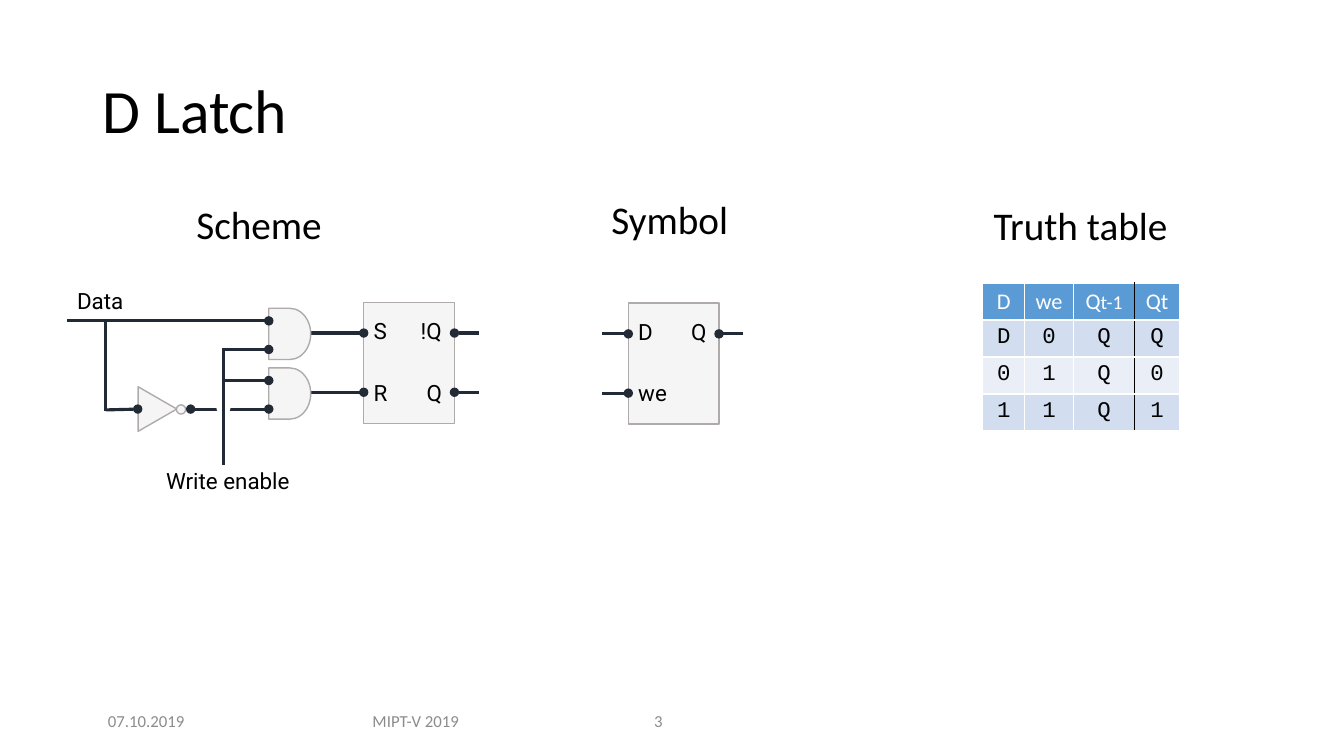
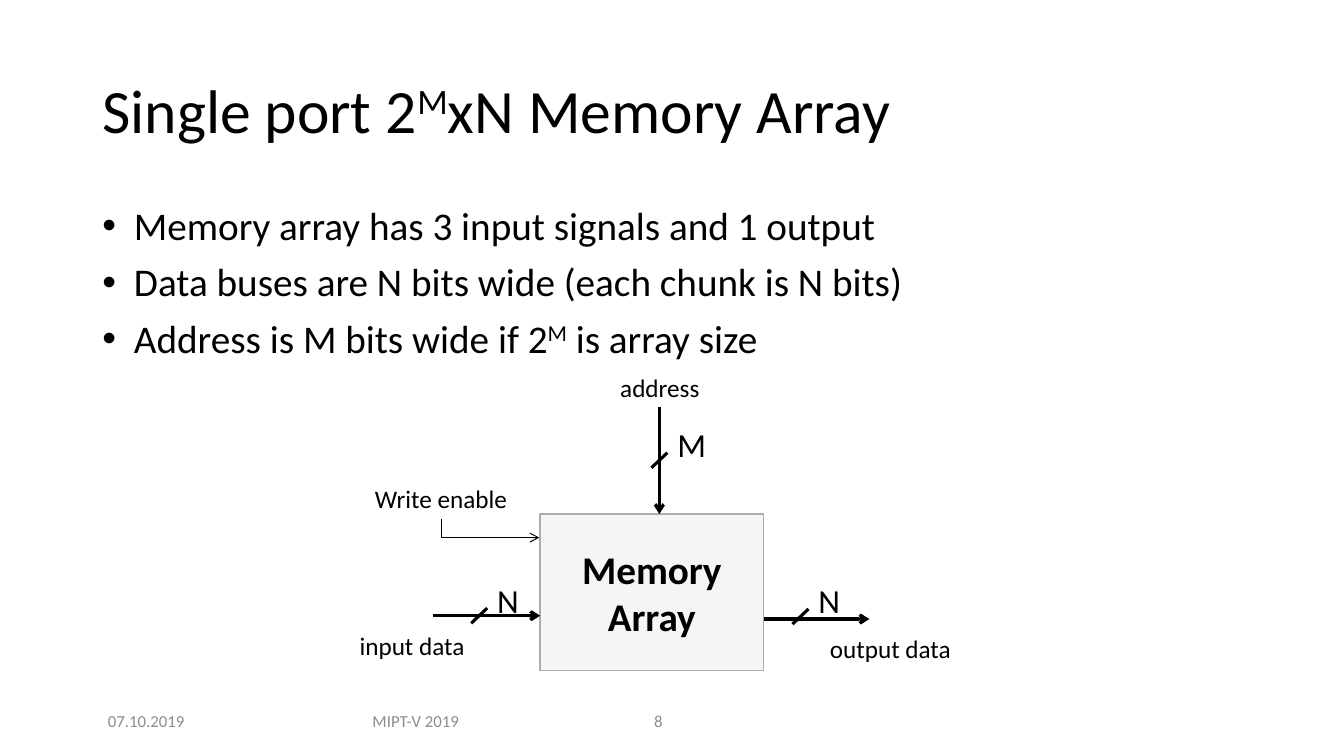
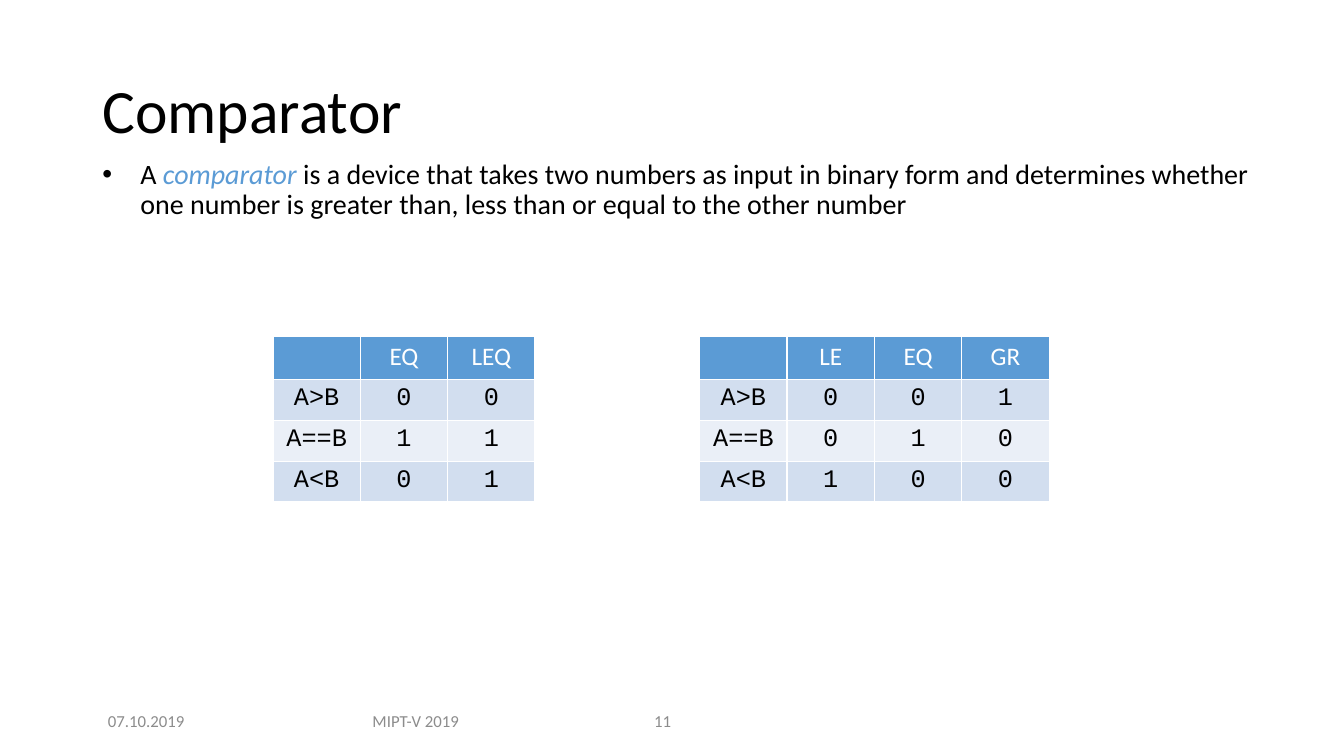
import pptx
import pptx.dml.color
import pptx.enum.shapes
import pptx.enum.text
import pptx.oxml.ns
import pptx.util
from lxml import etree

ALIGN = pptx.enum.text.PP_ALIGN
ANCHOR = pptx.enum.text.MSO_ANCHOR
SHAPE = pptx.enum.shapes.MSO_SHAPE
CONNECTOR = pptx.enum.shapes.MSO_CONNECTOR
qn = pptx.oxml.ns.qn

BLACK, WHITE, GREY = "000000", "FFFFFF", "8C8C8C"
ACCENT, BAND_DARK, BAND_LIGHT = "5B9BD5", "D2DEEF", "EAEFF7"
WIRE, BLOCK_FILL, BLOCK_LINE = "222A35", "F5F5F5", "AFABAB"
SANS, MONO, PIN = "Calibri", "Courier New", "Roboto"
TITLE_ONLY, TITLE_AND_BODY = 5, 1


def color(value):
    """Turn a hex string into a colour."""
    return pptx.dml.color.RGBColor.from_string(value)


def grid(units):
    """Turn grid units, 160 columns by 90 rows on a slide, into a length."""
    return pptx.util.Inches(units / 12)


class Deck:
    """Holds the shared style and the current slide."""

    def __init__(self):
        """Start a wide presentation."""
        self.presentation = pptx.Presentation()
        self.presentation.slide_width = grid(160)
        self.presentation.slide_height = grid(90)
        self.slide = None

    def add_slide(self, title, number, layout=TITLE_ONLY):
        """Add a slide with its title and footer."""
        layouts = self.presentation.slide_layouts
        self.slide = self.presentation.slides.add_slide(layouts[layout])
        shape = self.slide.shapes.title
        frame = self.place(shape, 11, 4.8, 138, 17.4)
        frame.vertical_anchor = ANCHOR.MIDDLE
        paragraph = frame.paragraphs[0]
        paragraph.line_spacing = 0.9
        self.add_runs(paragraph, title, 44)
        self.label("07.10.2019", 11, 83.4, 12.8, 12, ALIGN.CENTER, ink=GREY)
        self.label("MIPT-V 2019", 40, 83.4, 19, 12, ALIGN.CENTER, ink=GREY)
        self.label(number, 76.7, 83.4, 9.5, 12, wrap=True, ink=GREY)

    def place(self, shape, left, top, width, height):
        """Move a placeholder and return its text frame."""
        shape.left, shape.top = grid(left), grid(top)
        shape.width, shape.height = grid(width), grid(height)
        frame = shape.text_frame
        frame.word_wrap = True
        frame.auto_size = pptx.enum.text.MSO_AUTO_SIZE.NONE
        return frame

    def add_runs(self, paragraph, runs, size, align=ALIGN.LEFT, font=SANS, ink=BLACK, bold=False):
        """Add runs, each a string or a string with its own options."""
        paragraph.alignment = align
        for item in [runs] if isinstance(runs, str) else runs:
            text, options = (item, {}) if isinstance(item, str) else item
            run = paragraph.add_run()
            run.text = text
            run.font.name = font
            run.font.size = pptx.util.Pt(options.get("size", size))
            run.font.bold = bold
            run.font.italic = options.get("italic", False)
            run.font.color.rgb = color(options.get("ink", ink))
            if options.get("superscript"):
                run._r.get_or_add_rPr().set("baseline", "30000")

    def bullets(self, items, left, top, width, height, size, indent):
        """Fill the body placeholder with a bulleted list."""
        frame = self.place(self.slide.placeholders[1], left, top, width, height)
        for index, runs in enumerate(items):
            paragraph = frame.add_paragraph() if index else frame.paragraphs[0]
            properties = paragraph._p.get_or_add_pPr()
            properties.set("marL", str(grid(indent)))
            properties.set("indent", str(-grid(indent)))
            etree.SubElement(properties, qn("a:buFont")).set("typeface", "Arial")
            etree.SubElement(properties, qn("a:buChar")).set("char", "•")
            paragraph.line_spacing = 0.9
            paragraph.space_before = pptx.util.Pt(10 if index else 0)
            self.add_runs(paragraph, runs, size)

    def label(self, text, left, top, width, size, align=ALIGN.LEFT, font=SANS, ink=BLACK, wrap=False):
        """Add a one-line text box as tall as its text needs."""
        height = 4.8 if size == 12 else size * 0.2 + 1.2
        shape = self.slide.shapes.add_textbox(grid(left), grid(top), grid(width), grid(height))
        shape.text_frame.word_wrap = wrap
        shape.text_frame.vertical_anchor = ANCHOR.MIDDLE if size == 12 else ANCHOR.TOP
        self.add_runs(shape.text_frame.paragraphs[0], text, size, align, font, ink)

    def shape(self, kind, left, top, width, height, fill=BLOCK_FILL, line=BLOCK_LINE, weight=1):
        """Add a flat preset shape."""
        shape = self.slide.shapes.add_shape(kind, grid(left), grid(top), grid(width), grid(height))
        shape.shadow.inherit = False
        shape.fill.solid()
        shape.fill.fore_color.rgb = color(fill)
        shape.line.color.rgb = color(line)
        shape.line.width = pptx.util.Pt(weight)
        return shape

    def line(self, start, end, ink=WIRE, weight=2.25, head=None, tail=None, kind=CONNECTOR.STRAIGHT):
        """Add a connector with optional end marks."""
        points = [grid(value) for value in (*start, *end)]
        connector = self.slide.shapes.add_connector(kind, *points)
        connector.line.color.rgb = color(ink)
        connector.line.width = pptx.util.Pt(weight)
        properties = connector.element.spPr
        for tag, mark in (("a:headEnd", head), ("a:tailEnd", tail)):
            if mark:
                etree.SubElement(properties.find(qn("a:ln")), qn(tag)).set("type", mark)
        etree.SubElement(properties, qn("a:effectLst"))
        return connector

    def corner_arrow(self, start, end):
        """Add an arrow that runs down and then right."""
        connector = self.line(start, end, BLACK, 0.75, head="arrow", kind=CONNECTOR.ELBOW)
        properties = connector.element.spPr
        properties.find(qn("a:prstGeom")).set("prst", "bentConnector2")
        properties.find(qn("a:xfrm")).set("rot", "10800000")

    def block(self, left, top, left_pins, right_pins, lead):
        """Add a logic block whose pins are name, row and label width."""
        width = 10.8
        right = left + width
        self.shape(SHAPE.RECTANGLE, left, top, width, 14.4)
        for pins, edge, far in ((left_pins, left, left - lead), (right_pins, right, right + 2.9)):
            for name, row, label_width in pins:
                level = top + 3.65 + 7.05 * row
                self.line((far, level), (edge, level), tail="oval")
                label_left = left if edge == left else right + 0.1 - label_width
                self.label(name, label_left, top + 1.2 + 7.3 * row, label_width, 16, font=PIN)

    def bus(self, start, end, slash, name, label_width):
        """Add a bus arrow with its width slash and width name."""
        x, y = slash
        self.line(start, end, BLACK, tail="arrow")
        self.line((x - 0.95, y + 0.9), (x + 0.95, y - 0.9), BLACK)
        self.label(name, x + 0.95, y - 4.9, label_width, 24)

    def divide(self, cell, side):
        """Draw a black border on one side of a cell."""
        border = etree.Element(qn(side), w="12700")
        fill = etree.SubElement(border, qn("a:solidFill"))
        etree.SubElement(fill, qn("a:srgbClr")).set("val", BLACK)
        cell._tc.get_or_add_tcPr().insert(0, border)

    def table(self, rows, left, top, columns, header_height, row_height, size, divider=None):
        """Add a banded table, with a black line after the divider column."""
        heights = [header_height] + [row_height] * (len(rows) - 1)
        table = self.slide.shapes.add_table(
            len(rows), len(columns), grid(left), grid(top), grid(sum(columns)), grid(sum(heights))
        ).table
        table.first_row = table.horz_banding = False
        for column, width in zip(table.columns, columns):
            column.width = grid(width)
        for y, (row, height) in enumerate(zip(rows, heights)):
            table.rows[y].height = grid(height)
            font, ink = (MONO, BLACK) if y else (SANS, WHITE)
            band = (BAND_DARK if y % 2 else BAND_LIGHT) if y else ACCENT
            for x, runs in enumerate(row):
                cell = table.cell(y, x)
                cell.fill.solid()
                cell.fill.fore_color.rgb = color(band)
                if runs:
                    self.add_runs(cell.text_frame.paragraphs[0], runs, size, ALIGN.CENTER, font, ink)
                if x == divider:
                    self.divide(cell, "a:lnR")
                elif divider is not None and x == divider + 1:
                    self.divide(cell, "a:lnL")


def latch_slide(deck):
    """Build the D latch slide."""
    deck.add_slide("D Latch", "3")
    deck.label("Symbol", 71.6, 22.6, 18.1, 28)
    deck.label("Scheme", 22.2, 23.3, 19.2, 28)
    deck.label("Truth table", 117.1, 23.4, 23.4, 28)
    header = ["D", "we", ["Q", ("t-1", {"size": 14})], "Qt"]
    deck.table([header, "D0QQ", "01Q0", "11Q1"], 117, 33.7, [5, 5.8, 7.3, 5.3], 4.4, 4.4, 16, divider=2)
    deck.block(74.8, 36.1, [("D", 0, 4.3), ("we", 1, 5.9)], [("Q", 0, 4.6)], 3.1)
    deck.block(43.3, 36, [("S", 0, 4.2), ("R", 1, 4.3)], [("!Q", 0, 5.3), ("Q", 1, 4.6)], 6.3)
    for gate in range(2):
        deck.shape(SHAPE.FLOWCHART_DELAY, 32, 36.7 + 7.1 * gate, 5, 6.1)
    deck.shape(SHAPE.ISOSCELES_TRIANGLE, 16.1, 46.4, 5.3, 4.6).rotation = 90
    deck.shape(SHAPE.OVAL, 21, 48.2, 1.1, 1.1)
    gate_left, enable, data = 32, 26.6, 12.6
    deck.line((22.7, 48.7), (gate_left, 48.7), head="oval", tail="oval")
    for level in (45.3, 41.6):
        deck.line((enable, level), (gate_left, level), tail="oval")
    deck.shape(SHAPE.OVAL, 25.8, 47.9, 1.6, 1.5, WHITE, WHITE, 0.25)
    deck.line((enable, 41.4), (enable, 55.3))
    deck.label("Write enable", 18.6, 55, 17.5, 16, font=PIN)
    deck.line((8, 38.2), (gate_left, 38.2), tail="oval")
    deck.line((data, 48.8), (16.4, 48.7), tail="oval")
    deck.line((data, 38.2), (data, 48.9))
    deck.label("Data", 8, 33.6, 8.2, 16, font=PIN)


def memory_slide(deck):
    """Build the memory array slide."""
    power = ("M", {"superscript": True})
    deck.add_slide(["Single port 2", power, "xN Memory Array"], "8", TITLE_AND_BODY)
    items = [
        "Memory array has 3 input signals and 1 output",
        "Data buses are N bits wide (each chunk is N bits)",
        ["Address is M bits wide if 2", power, " is array size"],
    ]
    deck.bullets(items, 11, 24, 138, 54.2, 28, 3.75)
    frame = deck.shape(SHAPE.RECTANGLE, 64.3, 61.2, 26.6, 18.6).text_frame
    frame.word_wrap = False
    frame.vertical_anchor = ANCHOR.MIDDLE
    deck.add_runs(frame.paragraphs[0], "Memory", 28, ALIGN.CENTER, bold=True)
    deck.add_runs(frame.add_paragraph(), "Array", 28, ALIGN.CENTER, bold=True)
    deck.bus((78.5, 48.5), (78.5, 61.2), (78.5, 54.8), "M", 5.9)
    deck.bus((51.6, 73.3), (64.3, 73.3), (57.05, 73.3), "N", 5)
    deck.bus((90.9, 73.7), (103.5, 73.7), (95.3, 73.4), "N", 5)
    signals = [
        ("address", 72.6, 43.7, 11.9),
        ("input data", 41.3, 74.4, 15.5),
        ("output data", 97.6, 74.8, 16.8),
        ("Write enable", 43.2, 56.9, 18.6),
    ]
    for name, left, top, width in signals:
        deck.label(name, left, top, width, 18, ALIGN.CENTER)
    deck.corner_arrow((52.6, 61.8), (64.2, 64))


def comparator_slide(deck):
    """Build the comparator slide."""
    deck.add_slide("Comparator", "11", TITLE_AND_BODY)
    definition = [
        "A ",
        ("comparator", {"italic": True, "ink": ACCENT}),
        " is a device that takes two numbers as input in binary form and determines whether "
        "one number is greater than, less than or equal to the other number",
    ]
    deck.bullets([definition], 11, 18.5, 141, 10, 20, 4.5)
    relations = ["", "A>B", "A==B", "A<B"]
    tables = [
        (32.5, [["EQ", "LEQ"], "00", "11", "01"]),
        (83.3, [["LE", "EQ", "GR"], "001", "010", "100"]),
    ]
    for left, values in tables:
        rows = [[relation, *row] for relation, row in zip(relations, values)]
        deck.table(rows, left, 40, [10.4] * len(rows[0]), 5.16, 4.87, 18)


def main():
    """Build and save the presentation."""
    deck = Deck()
    latch_slide(deck)
    memory_slide(deck)
    comparator_slide(deck)
    deck.presentation.save("out.pptx")


if __name__ == "__main__":
    main()
